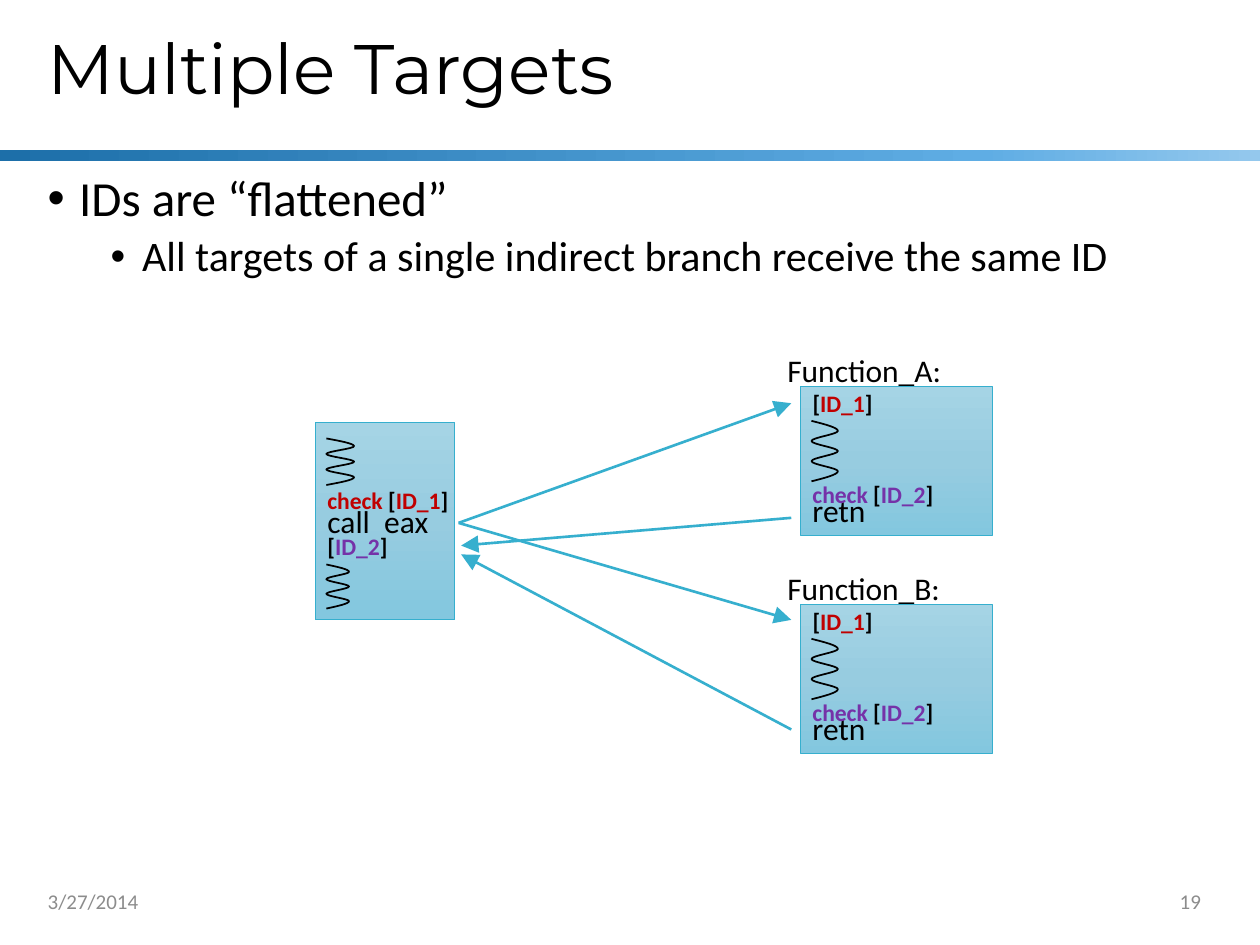
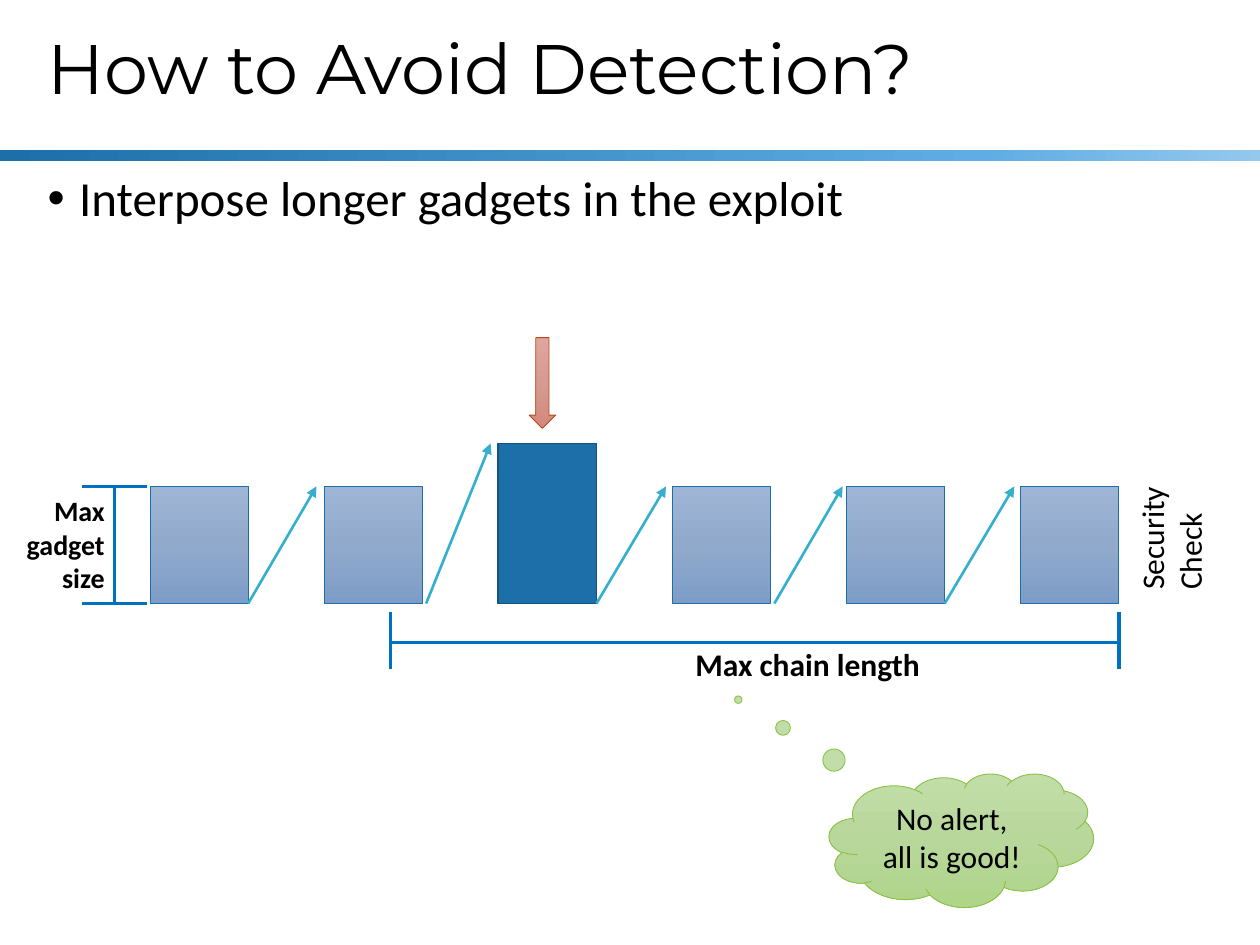
from lxml.etree import SubElement
from pptx import Presentation
from pptx.dml.color import RGBColor
from pptx.enum.shapes import MSO_CONNECTOR, MSO_SHAPE
from pptx.enum.text import MSO_ANCHOR, PP_ALIGN
from pptx.oxml.ns import qn
from pptx.util import Inches, Pt

COLS, ROWS = 10, 7.5
CELL = Inches(1)

BLACK = RGBColor(0x00, 0x00, 0x00)
GREY = RGBColor(0x8C, 0x8C, 0x8C)
RED = RGBColor(0xC0, 0x00, 0x00)
PURPLE = RGBColor(0x75, 0x32, 0xA8)
TEAL = RGBColor(0x36, 0xAF, 0xCE)
NAVY = RGBColor(0x1D, 0x6F, 0xA9)
DEEP = RGBColor(0x15, 0x52, 0x7D)
BLUE = RGBColor(0x00, 0x70, 0xC0)
GREEN = RGBColor(0x8B, 0xC1, 0x45)
RUST = RGBColor(0xB7, 0x49, 0x19)


def blend(*stops):
    return [(spot, RGBColor.from_string(code)) for spot, code in stops]


BAND = blend((0, "1D6FA9"), (78, "5FADE4"), (100, "94C8ED"))
AQUA = blend((0, "A5D4E5"), (50, "97CCE0"), (100, "83C7DF"))
STEEL = blend((0, "9EB5D6"), (50, "91AACC"), (100, "7D9DC8"))
LEAF = blend((0, "C2DEA8"), (50, "B8D79B"), (100, "AED588"))
CORAL = blend((0, "E0A69E"), (50, "D59A91"), (100, "D4887C"))

PLAIN = {"name": "Calibri", "size": Pt(18)}
BOLD = {**PLAIN, "bold": True}
SIDE = {**BOLD, "size": Pt(16)}
CODE = {**BOLD, "size": Pt(13.5)}
NOTE = {**PLAIN, "size": Pt(12)}
HEAD = {"name": "Montserrat", "size": Pt(40)}
LEVELS = (
    {"size": 28, "left": 0.25, "before": 10},
    {"size": 24, "left": 0.75, "before": 5},
)
MIDDLE = {"vertical_anchor": MSO_ANCHOR.MIDDLE}
LOOSE = {"word_wrap": False}


def grid(*cells):
    return [round(cell * CELL) for cell in cells]


def apply(item, form):
    for key, value in form.items():
        setattr(item, key, value)


def write(para, text, font, hue=BLACK):
    run = para.add_run()
    run.text = text
    apply(run.font, font)
    run.font.color.rgb = hue


def label(page, area, text, font, hue=BLACK, frame=None, para=None):
    box = page.shapes.add_textbox(*grid(*area))
    apply(box.text_frame, {"word_wrap": True, **(frame or {})})
    first = box.text_frame.paragraphs[0]
    apply(first, para or {})
    if text:
        write(first, text, font, hue)
    return box.text_frame


def paint(shape, fill, angle):
    if isinstance(fill, RGBColor):
        shape.fill.solid()
        shape.fill.fore_color.rgb = fill
        return
    shape.fill.gradient()
    shape.fill.gradient_angle = angle
    stops = next(shape._element.iter(qn("a:gsLst")))
    stops.clear()
    for spot, hue in fill:
        stop = SubElement(stops, qn("a:gs"), pos=str(spot * 1000))
        SubElement(stop, qn("a:srgbClr"), val=str(hue))


def block(page, kind, area, fill, edge=None, width=0.5, angle=270):
    shape = page.shapes.add_shape(kind, *grid(*area))
    shape.shadow.inherit = False
    paint(shape, fill, angle)
    if edge is None:
        shape.line.fill.background()
    else:
        shape.line.color.rgb = edge
        shape.line.width = Pt(width)
    return shape


def fill_in(shape, text, anchor, align):
    shape.text_frame.vertical_anchor = anchor
    para = shape.text_frame.paragraphs[0]
    para.alignment = align
    write(para, text, PLAIN)


def link(page, start, end, hue=TEAL, width=1.5, head="med"):
    line = page.shapes.add_connector(
        MSO_CONNECTOR.STRAIGHT, *grid(*start, *end))
    line.line.color.rgb = hue
    line.line.width = Pt(width)
    if head:
        SubElement(line.line._get_or_add_ln(), qn("a:tailEnd"),
                   type="triangle", w=head, len=head)
    SubElement(line._element.spPr, qn("a:effectLst"))


def rule(page, start, end):
    link(page, start, end, BLUE, 2, None)


def bend(wave, width, height, count):
    steps = list(wave._element.iter(qn("a:lnTo")))
    for n, step in enumerate(steps):
        from_x, to_x = (n % 2) * width, ((n + 1) % 2) * width
        first = width / 2 if n == 0 else from_x
        last = width / 2 if n == count - 1 else to_x
        step.tag = qn("a:cubicBezTo")
        for slot, x in enumerate((first, last)):
            y = (n + (slot + 1) / 3) * height / count
            spot = SubElement(step, qn("a:pt"),
                              x=str(round(x)), y=str(round(y)))
            step.insert(slot, spot)


def coil(page, x, y, width, height, count=6):
    dots = [grid(x + width * (n % 2), y + height * n / count)
            for n in range(count + 1)]
    form = page.shapes.build_freeform(*dots[0])
    form.add_line_segments(dots[1:], close=False)
    wave = form.convert_to_shape()
    bend(wave, *grid(width, height), count)
    wave.shadow.inherit = False
    wave.fill.background()
    wave.line.color.rgb = BLACK
    wave.line.width = Pt(1)


def tag(page, x, y, name, hue, check=False):
    width = 1.17 if check else 0.69
    frame = label(page, (x, y, width, 0.33), "", CODE, frame=LOOSE)
    parts = [("[", BLACK), (name, hue), ("]", BLACK)]
    if check:
        parts.insert(0, ("check ", hue))
    for text, tint in parts:
        write(frame.paragraphs[0], text, CODE, tint)


def bullets(page, lines):
    frame = label(page, (0.28, 1.33, 9.35, 5.42), "", PLAIN)
    for n, (text, level) in enumerate(zip(lines, LEVELS)):
        para = frame.add_paragraph() if n else frame.paragraphs[0]
        apply(para, {"line_spacing": 0.9, "level": n,
                     "space_before": Pt(level["before"])})
        props = para._p.get_or_add_pPr()
        props.set("marL", str(Inches(level["left"])))
        props.set("indent", str(-Inches(0.25)))
        SubElement(props, qn("a:buFont"), typeface="Arial")
        SubElement(props, qn("a:buChar"), char="•")
        write(para, text, {**PLAIN, "size": Pt(level["size"])})


def start(deck, title, *lines):
    page = deck.slides.add_slide(deck.slide_layouts[6])
    block(page, MSO_SHAPE.RECTANGLE, (0, 1.19, COLS, 0.09), BAND, angle=0)
    label(page, (0.28, 0, 9.35, 1.14), title, HEAD,
          frame=MIDDLE, para={"line_spacing": 0.9})
    bullets(page, lines)
    return page


def footer(page, date, number):
    sides = ((0.28, date, PP_ALIGN.LEFT), (7.38, number, PP_ALIGN.RIGHT))
    for x, text, align in sides:
        label(page, (x, 6.95, 2.25, 0.4), text, NOTE, GREY,
              MIDDLE, {"alignment": align})


def caller(page):
    box = block(page, MSO_SHAPE.RECTANGLE, (2.5, 3.35, 1.11, 1.57), AQUA, TEAL)
    fill_in(box, "call  eax", MSO_ANCHOR.MIDDLE, PP_ALIGN.LEFT)
    coil(page, 2.59, 3.48, 0.22, 0.37)
    coil(page, 2.59, 4.48, 0.18, 0.35)
    tag(page, 2.5, 4.17, "ID_2", PURPLE)
    tag(page, 2.5, 3.81, "ID_1", RED, True)


def callee(page, name, y):
    x = 6.35
    label(page, (x - 0.2, y - 0.33, 1.44, 0.4), name, PLAIN, frame=LOOSE)
    box = block(page, MSO_SHAPE.RECTANGLE, (x, y, 1.53, 1.18), AQUA, TEAL)
    fill_in(box, "retn", MSO_ANCHOR.BOTTOM, PP_ALIGN.LEFT)
    coil(page, x + 0.09, y + 0.27, 0.21, 0.48)
    tag(page, x, y - 0.03, "ID_1", RED)
    tag(page, x, y + 0.69, "ID_2", PURPLE, True)


def targets(deck):
    page = start(deck, "Multiple Targets", "IDs are “flattened”",
                 "All targets of a single indirect branch receive the same ID")
    footer(page, "3/27/2014", "19")
    caller(page)
    callee(page, "Function_A:", 3.07)
    callee(page, "Function_B:", 4.8)
    near, far = 3.66, 6.28
    for entry in (3.2, 4.92):
        link(page, (3.64, 4.15), (far, entry), head="lg")
    for leave, back in ((4.11, 4.33), (5.79, 4.4)):
        link(page, (far, leave), (near, back), head="lg")


def chain(page, count=6, long=2):
    left, right, width, base = 1.19, 8.1, 0.78, 4.79
    pitch = (right - left) / (count - 1)
    gaps = (0.06, 0.06, 0.05, 0.03, 0.05)
    tops = [3.52 if n == long else 3.86 for n in range(count)]
    for n, top in enumerate(tops):
        x = left + n * pitch
        look = (NAVY, DEEP, 1) if n == long else (STEEL, NAVY, 0.5)
        block(page, MSO_SHAPE.RECTANGLE, (x, top, width, base - top), *look)
        if n + 1 < count:
            link(page, (x + width + 0.03 * (n % 2), base),
                 (x + pitch - gaps[n], tops[n + 1]))


def gauges(page):
    rule(page, (8.88, 5.1), (3.1, 5.1))
    for x in (3.1, 8.88):
        rule(page, (x, 4.86), (x, 5.31))
    rule(page, (0.91, 3.86), (0.91, 4.79))
    for y in (3.86, 4.79):
        rule(page, (0.65, y), (1.17, y))
    label(page, (0, 3.87, 0.93, 0.91), "Max gadget size", SIDE,
          frame={"margin_left": Inches(0.01)},
          para={"alignment": PP_ALIGN.RIGHT})
    label(page, (5.42, 5.07, 2, 0.4), "Max chain length", BOLD, frame=LOOSE)


def evade(deck):
    page = start(deck, "How to Avoid Detection?",
                 "Interpose longer gadgets in the exploit")
    chain(page)
    cloud = block(page, MSO_SHAPE.CLOUD_CALLOUT, (6.58, 6.14, 2.1, 1.06),
                  LEAF, GREEN)
    cloud.adjustments[0], cloud.adjustments[1] = -0.843, -1.054
    fill_in(cloud, "No alert, all is good!", MSO_ANCHOR.MIDDLE, PP_ALIGN.CENTER)
    gauges(page)
    guard = label(page, (8.94, 3.85, 0.81, 0.93), "Security", PLAIN, frame=LOOSE)
    write(guard.add_paragraph(), "Check", PLAIN)
    guard._txBody.bodyPr.set("vert", "vert270")
    block(page, MSO_SHAPE.DOWN_ARROW, (4.2, 2.68, 0.21, 0.72), CORAL, RUST)


def main():
    deck = Presentation()
    width, height = grid(COLS, ROWS)
    apply(deck, {"slide_width": width, "slide_height": height})
    targets(deck)
    evade(deck)
    deck.save("out.pptx")


if __name__ == "__main__":
    main()
